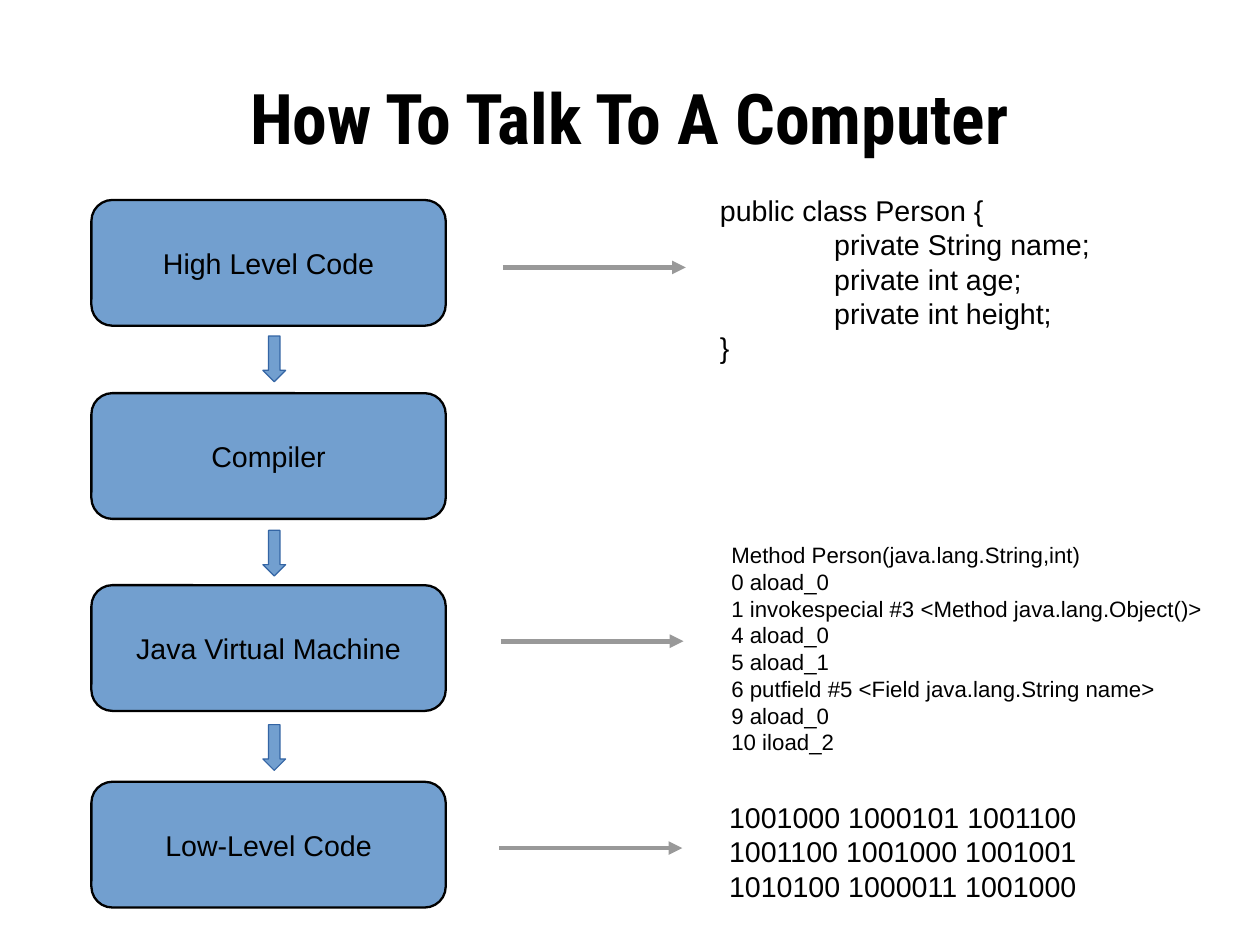
"""Build the slide that shows the steps from high level code to machine code."""
import pptx
import pptx.dml.color
import pptx.enum.shapes
import pptx.enum.text
import pptx.oxml.ns
import pptx.util
from lxml import etree

Inches, Pt = pptx.util.Inches, pptx.util.Pt
RGBColor = pptx.dml.color.RGBColor
Shape = pptx.enum.shapes.MSO_SHAPE
Anchor = pptx.enum.text.MSO_ANCHOR
Align = pptx.enum.text.PP_ALIGN
qn = pptx.oxml.ns.qn

BLACK = RGBColor(0x00, 0x00, 0x00)
BLUE = RGBColor(0x72, 0x9F, 0xCF)
DARK_BLUE = RGBColor(0x34, 0x65, 0xA4)
GREY = RGBColor(0x99, 0x99, 0x99)

TITLE = "How To Talk To A Computer"
STAGES = [
    ("High Level Code", 1.75),
    ("Compiler", 3.44),
    ("Java Virtual Machine", 5.12),
    ("Low-Level Code", 6.84),
]
SOURCE_CODE = [
    ("public class Person {", 0),
    ("private String name;", 1),
    ("private int age;", 1),
    ("private int height;", 1),
    ("}", 0),
]
BYTECODE = [
    ("Method Person(java.lang.String,int)", 0),
    ("0 aload_0", 0),
    ("1 invokespecial #3 <Method java.lang.Object()>", 0),
    ("4 aload_0", 0),
    ("5 aload_1", 0),
    ("6 putfield #5 <Field java.lang.String name>", 0),
    ("9 aload_0", 0),
    ("10 iload_2", 0),
]
MACHINE_CODE = [
    ("1001000 1000101 1001100 1001100 1001000 1001001 1010100 1000011 1001000", 0),
]
EXAMPLES = [
    (SOURCE_CODE, 18, (6.2, 1.64, 3.5, 1.5)),
    (BYTECODE, 14, (6.3, 4.69, 4.72, 1.85)),
    (MACHINE_CODE, 18, (6.28, 6.95, 3.5, 0.94)),
]
POINTERS = [(4.4, 2.34), (4.38, 5.61), (4.37, 7.42)]
POINTER_LENGTH = 1.6
STAGE_LEFT, STAGE_WIDTH, STAGE_HEIGHT = 0.8, 3.1, 1.1
ARROW_LEFT, ARROW_TOP, ARROW_STEP = 2.3, 2.94, 1.7
ARROW_WIDTH, ARROW_HEIGHT = 0.2, 0.4


def inches(*lengths):
    return [Inches(length) for length in lengths]


def set_margins(frame, across, down):
    frame.margin_left = frame.margin_right = Inches(across)
    frame.margin_top = frame.margin_bottom = Inches(down)


def write(para, text, size, font="Arial", bold=False):
    span = para.add_run()
    span.text = text
    span.font.name = font
    span.font.size = Pt(size)
    span.font.bold = bold
    span.font.color.rgb = BLACK


def add_title(page):
    frame = page.shapes.add_textbox(*inches(0.55, 0.33, 9.92, 1.38)).text_frame
    frame.word_wrap = True
    frame.vertical_anchor = Anchor.MIDDLE
    set_margins(frame, 0, 0)
    frame.paragraphs[0].alignment = Align.CENTER
    write(frame.paragraphs[0], TITLE, 44, "Roboto Condensed", True)


def add_blue_shape(page, kind, place, line_color, line_width):
    shape = page.shapes.add_shape(kind, *inches(*place))
    shape.shadow.inherit = False
    shape.fill.solid()
    shape.fill.fore_color.rgb = BLUE
    shape.line.color.rgb = line_color
    shape.line.width = Pt(line_width)
    return shape


def add_stage(page, label, top):
    place = (STAGE_LEFT, top, STAGE_WIDTH, STAGE_HEIGHT)
    box = add_blue_shape(page, Shape.FLOWCHART_ALTERNATE_PROCESS, place, BLACK, 1.45)
    frame = box.text_frame
    frame.word_wrap = False
    frame.vertical_anchor = Anchor.MIDDLE
    set_margins(frame, 0.11, 0.06)
    frame.paragraphs[0].alignment = Align.CENTER
    write(frame.paragraphs[0], label, 18)


def add_example(page, lines, size, place):
    frame = page.shapes.add_textbox(*inches(*place)).text_frame
    frame.word_wrap = True
    set_margins(frame, 0.1, 0.05)
    for number, (text, indent) in enumerate(lines):
        para = frame.add_paragraph() if number else frame.paragraphs[0]
        if indent:
            para._p.get_or_add_pPr().set("marL", str(Inches(indent)))
        write(para, text, size)


def add_pointer(page, left, top):
    pointer = page.shapes.add_connector(
        pptx.enum.shapes.MSO_CONNECTOR.STRAIGHT,
        *inches(left, top, left + POINTER_LENGTH, top))
    pointer.line.color.rgb = GREY
    pointer.line.width = Pt(2.89)
    etree.SubElement(pointer.line._get_or_add_ln(), qn("a:tailEnd"), type="triangle")
    etree.SubElement(pointer._element.spPr, qn("a:effectLst"))


def main():
    deck = pptx.Presentation()
    deck.slide_width = pptx.util.Cm(28)
    deck.slide_height = pptx.util.Cm(21)
    page = deck.slides.add_slide(deck.slide_layouts[6])
    add_title(page)
    for label, top in STAGES:
        add_stage(page, label, top)
    for gap in range(len(STAGES) - 1):
        place = (ARROW_LEFT, ARROW_TOP + gap * ARROW_STEP, ARROW_WIDTH, ARROW_HEIGHT)
        add_blue_shape(page, Shape.DOWN_ARROW, place, DARK_BLUE, 0)
    for lines, size, place in EXAMPLES:
        add_example(page, lines, size, place)
    for left, top in POINTERS:
        add_pointer(page, left, top)
    deck.save("out.pptx")


if __name__ == "__main__":
    main()
